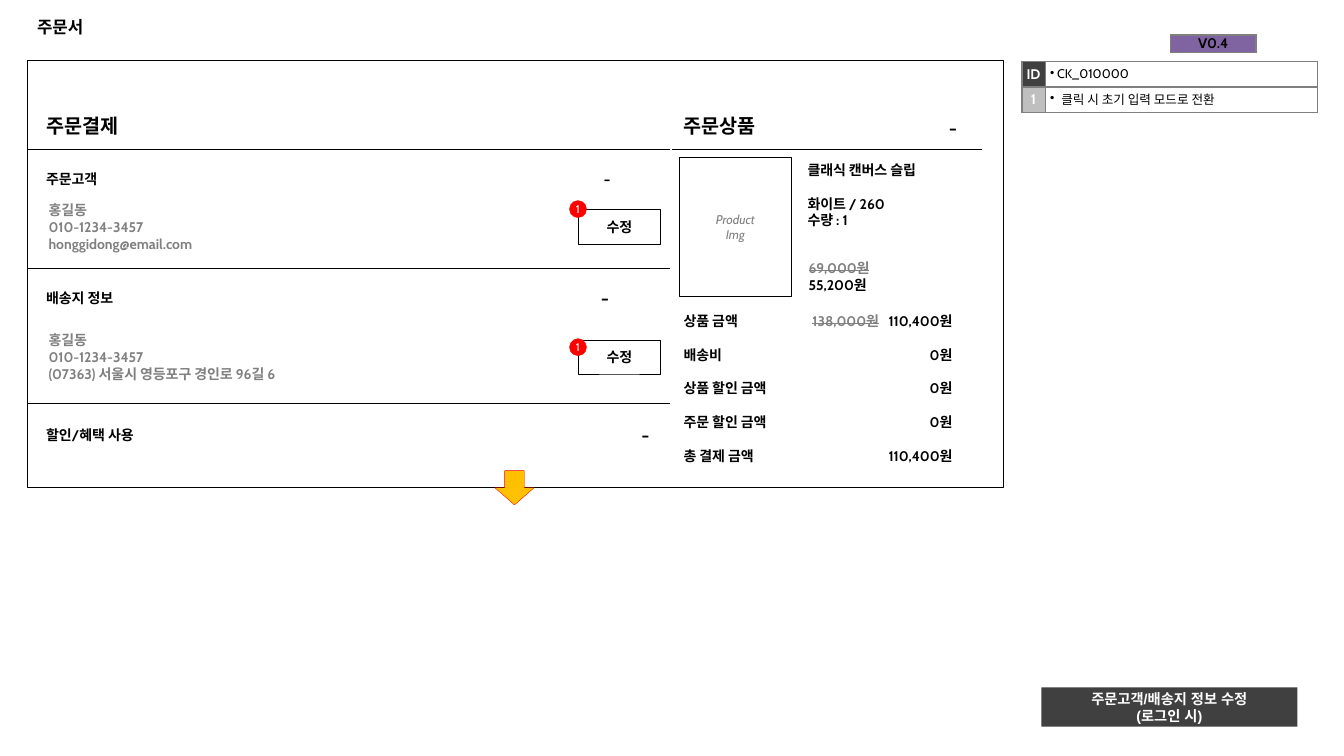
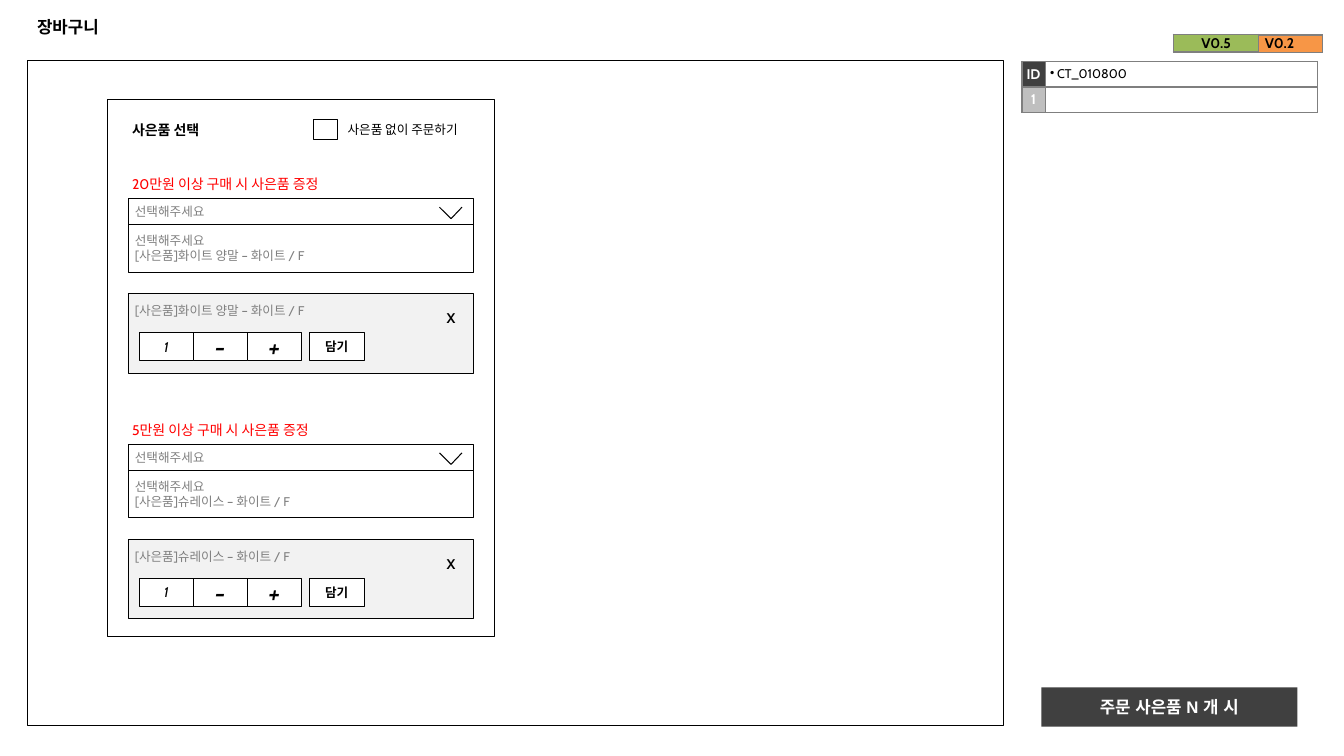
from dataclasses import dataclass

from lxml.etree import SubElement
from pptx import Presentation
from pptx.dml.color import RGBColor
from pptx.enum.shapes import MSO_CONNECTOR, MSO_SHAPE
from pptx.enum.text import MSO_ANCHOR, PP_ALIGN
from pptx.oxml.ns import qn
from pptx.util import Pt


@dataclass(frozen=True)
class Theme:
    black: str = "000000"
    white: str = "FFFFFF"
    gray: str = "808080"
    border: str = "7F7F7F"
    dark: str = "404040"
    silver: str = "BFBFBF"
    pale: str = "F2F2F2"
    red: str = "FF0000"
    amber: str = "FFC000"
    purple: str = "8064A2"
    orange: str = "F79646"
    green: str = "9BBB59"
    body_font: str = "Cabin"
    title_font: str = "Arial"
    korean_font: str = "Noto Sans CJK KR"
    heading: float = 14
    title: float = 12
    body: float = 10
    small: float = 9
    badge: float = 8
    symbol: float = 20
    hairline: float = 0.25
    rule: float = 0.75


theme = Theme()


def write(frame, lines, size=theme.body, color=theme.black, bold=False, italic=False,
          font=theme.body_font, align=PP_ALIGN.LEFT, gap=0, tabs=(), hang=0):
    for index, line in enumerate(lines):
        paragraph = frame.add_paragraph() if index else frame.paragraphs[0]
        paragraph.alignment = align
        if index and gap:
            paragraph.space_before = Pt(gap)
        properties = paragraph._p.get_or_add_pPr()
        if hang:
            properties.set("marL", str(Pt(hang)))
            properties.set("indent", str(-Pt(hang)))
            SubElement(properties, qn("a:buChar"), char="•")
        if tabs:
            tab_list = SubElement(properties, qn("a:tabLst"))
            for position, side in tabs:
                SubElement(tab_list, qn("a:tab"), pos=str(Pt(position)), algn=side)
        paragraph.font.size = Pt(size)
        paragraph.font.bold = bold
        paragraph.font.italic = italic
        paragraph.font.color.rgb = RGBColor.from_string(color)
        paragraph.font.name = font
        SubElement(paragraph.font._element, qn("a:ea"), typeface=font)
        for text, struck in [(line, False)] if isinstance(line, str) else line:
            if not text:
                SubElement(paragraph._p, qn("a:endParaRPr"), sz=str(size * 100))
                continue
            run = paragraph.add_run()
            run.text = text
            if struck:
                run.font.color.rgb = RGBColor.from_string(theme.gray)
                run.font._element.set("strike", "sngStrike")


def add_box(slide, bounds, lines=(), kind=None, fill=None, line=None, width=theme.hairline,
            anchor=MSO_ANCHOR.MIDDLE, insets=(3, 3), **style):
    bounds = [Pt(value) for value in bounds]
    if kind is None:
        shape = slide.shapes.add_textbox(*bounds)
    else:
        shape = slide.shapes.add_shape(kind, *bounds)
        shape.shadow.inherit = False
        if fill:
            shape.fill.solid()
            shape.fill.fore_color.rgb = RGBColor.from_string(fill)
        else:
            shape.fill.background()
        if line:
            shape.line.color.rgb = RGBColor.from_string(line)
            shape.line.width = Pt(width)
        else:
            shape.line.fill.background()
    frame = shape.text_frame
    frame.word_wrap = True
    frame.vertical_anchor = anchor
    frame.margin_left = frame.margin_right = Pt(insets[0])
    frame.margin_top = frame.margin_bottom = Pt(insets[1])
    write(frame, lines, **style)
    return shape


presentation = Presentation()
presentation.slide_width = Pt(960)
presentation.slide_height = Pt(540)

rectangle = MSO_SHAPE.RECTANGLE
centered = {"align": PP_ALIGN.CENTER}
outlined = {"kind": rectangle, "line": theme.black}
top_anchor = {"anchor": MSO_ANCHOR.TOP}

pages = [
    {"title": "주문서", "frame_height": 305.3, "id": "CK_010000",
     "note": "클릭 시 초기 입력 모드로 전환",
     "footer": ["주문고객/배송지 정보 수정", "(로그인 시)"], "footer_size": 10.2,
     "versions": [("V0.4", 836, 25, theme.purple)]},
    {"title": "장바구니", "frame_height": 475.2, "id": "CT_010800", "note": "",
     "footer": ["주문 사은품 N 개 시"], "footer_size": theme.title,
     "versions": [("V0.2", 883.4, 25, theme.orange), ("V0.5", 838, 24.7, theme.green)]},
]

slides = []
for page in pages:
    slide = presentation.slides.add_slide(presentation.slide_layouts[6])
    slides.append(slide)
    add_box(slide, (19.4, 43.2, 697.7, page["frame_height"]), width=theme.rule, **outlined)
    add_box(slide, (19.4, 5, 921, 28), [page["title"]], insets=(7.2, 3.6),
            size=theme.title, bold=True, font=theme.title_font)
    add_box(slide, (743.8, 491, 182.9, 28), page["footer"], kind=rectangle, fill=theme.dark,
            size=page["footer_size"], color=theme.white, bold=True, font=theme.title_font,
            **centered)

    label = {"size": theme.body, "bold": True, **centered}
    note = {"size": theme.small}
    tables = [(730, 44, (16.5, 194.5), 18.2, [
        [("ID", theme.dark, {**label, "color": theme.white}),
         (page["id"], None, {**note, "hang": 5})],
        [("1", theme.silver, {**label, "color": theme.white}),
         (page["note"], None, {**note, "hang": 8 if page["note"] else 0})],
    ])]
    for version, left, top, color in page["versions"]:
        tables.append((left, top, (61.2,), 12.4, [[(version, color, label)]]))

    for left, top, widths, row_height, rows in tables:
        table = slide.shapes.add_table(len(rows), len(widths), Pt(left), Pt(top),
                                       Pt(sum(widths)), Pt(row_height * len(rows))).table
        table.first_row = table.horz_banding = False
        for column, width in zip(table.columns, widths):
            column.width = Pt(width)
        for row_index, row in enumerate(rows):
            table.rows[row_index].height = Pt(row_height)
            for column_index, (text, fill, style) in enumerate(row):
                cell = table.cell(row_index, column_index)
                inset = Pt(0 if fill else 3.6)
                cell.margin_left = cell.margin_right = inset
                cell.margin_top = cell.margin_bottom = inset
                cell.vertical_anchor = MSO_ANCHOR.MIDDLE if fill else MSO_ANCHOR.TOP
                for side in ("a:lnL", "a:lnR", "a:lnT", "a:lnB"):
                    edge = SubElement(cell._tc.get_or_add_tcPr(), qn(side), w=str(Pt(1)))
                    SubElement(SubElement(edge, qn("a:solidFill")), qn("a:srgbClr"),
                               val=theme.border)
                if fill:
                    cell.fill.solid()
                    cell.fill.fore_color.rgb = RGBColor.from_string(fill)
                else:
                    cell.fill.background()
                write(cell.text_frame, [text], **style)

order, cart = slides
rules = [(order, 19.4, y, 478.8, y) for y in (106.6, 191.5, 288)]
rules.append((order, 480.2, 106.6, 701.3, 106.6))

for left, heading in ((30.2, "주문결제"), (485.3, "주문상품")):
    add_box(order, (left, 72.7, 106.6, 33.8), [heading], size=theme.heading, bold=True)

for top, section in ((116, "주문고객"), (201, "배송지 정보"), (299, "할인/혜택 사용")):
    add_box(order, (30, top, 200, 23), [section], bold=True)

for left, top, size in ((419.6, 116, theme.title), (418.2, 201, theme.heading),
                        (447, 299, theme.heading), (666.7, 80, theme.heading)):
    add_box(order, (left, top, 28, 23), ["-"], size=size, bold=True, **centered)

contact = ["홍길동", "010-1234-3457"]
for top, badge_top, detail in ((141, 143.3, "honggidong@email.com"),
                               (234, 241.9, "(07363) 서울시 영등포구 경인로 96길 6")):
    add_box(order, (31.7, top, 370, 42), contact + [detail], color=theme.gray, bold=True,
            **top_anchor)
    add_box(order, (413.3, top + 8.7, 58.3, 24.5), ["수정"], bold=True, **outlined, **centered)
    add_box(order, (406.8, badge_top, 12.2, 12.2), ["1"], kind=MSO_SHAPE.OVAL, fill=theme.red,
            line=theme.red, insets=(0, 0), size=theme.badge, color=theme.white, **centered)

add_box(order, (485.3, 112.3, 80, 99.4), ["Product", "Img"], size=theme.small,
        color=theme.gray, italic=True, **outlined, **centered)
product = add_box(order, (573.8, 112.3, 134, 54), ["클래식 캔버스 슬립", "화이트 / 260", "수량 : 1"],
                  bold=True, **top_anchor)
product.text_frame.paragraphs[1].space_before = Pt(12)
add_box(order, (574.6, 182.2, 67, 30.2), [[("69,000원", True)], "55,200원"], bold=True,
        **top_anchor)
add_box(order, (485.3, 220.3, 211.7, 114.5),
        [[("상품 금액\t", False), ("138,000원", True), ("\t110,400원", False)],
         "배송비\t\t0원", "상품 할인 금액\t\t0원", "주문 할인 금액\t\t0원", "총 결제 금액\t\t110,400원"],
        bold=True, gap=12, tabs=((92, "l"), (192, "r")), **top_anchor)
add_box(order, (353.5, 336.2, 28, 24.5), kind=MSO_SHAPE.DOWN_ARROW, fill=theme.amber,
        line=theme.red)

add_box(cart, (76.3, 70.6, 276.5, 383.8), **outlined)
add_box(cart, (91.4, 83.5, 120, 18), ["사은품 선택"], bold=True, **top_anchor)
add_box(cart, (223.9, 85, 17.3, 14.4), **outlined)
add_box(cart, (241.2, 83.5, 105.8, 18), ["사은품 없이 주문하기"], insets=(7.2, 3.6),
        size=theme.small, font=theme.korean_font, **top_anchor)

gifts = [("20만원 이상 구매 시 사은품 증정", "[사은품]화이트 양말 – 화이트 / F"),
         ("5만원 이상 구매 시 사은품 증정", "[사은품]슈레이스 – 화이트 / F")]
prompt = "선택해주세요"
option = {"size": theme.small, "color": theme.gray, **outlined}
for index, (condition, gift) in enumerate(gifts):
    top = 122.4 + index * 175.5
    add_box(cart, (91.4, top, 177, 18), [condition], color=theme.red, **top_anchor)
    add_box(cart, (91.4, top + 19.2, 247, 18.7), [prompt], insets=(5, 3), **option)
    add_box(cart, (91.4, top + 37.7, 247, 34), [prompt, gift], insets=(5, 3), **option)
    add_box(cart, (91.4, top + 87.1, 247, 56.9), [gift], fill=theme.pale, insets=(5, 7),
            **option, **top_anchor)
    for position, (text, size) in enumerate((("1", theme.body), ("-", theme.symbol),
                                             ("+", theme.symbol))):
        add_box(cart, (99.4 + position * 38.6, top + 115, 38.6, 20.2), [text], size=size,
                italic=True, fill=theme.white, **outlined, **centered)
    add_box(cart, (221, top + 115, 39, 20.2), ["담기"], size=theme.small, bold=True,
            fill=theme.white, **outlined, **centered)
    add_box(cart, (303.8, top + 95.8, 36.7, 18), ["X"], bold=True, **centered, **top_anchor)
    for end in (313.9, 330):
        rules.append((cart, end, top + 25.6, 322.2, top + 33.8))

for slide, *ends in rules:
    connector = slide.shapes.add_connector(MSO_CONNECTOR.STRAIGHT, *[Pt(end) for end in ends])
    connector.line.color.rgb = RGBColor.from_string(theme.black)
    connector.line.width = Pt(theme.rule)
    SubElement(connector._element.spPr, qn("a:effectLst"))

presentation.save("out.pptx")
